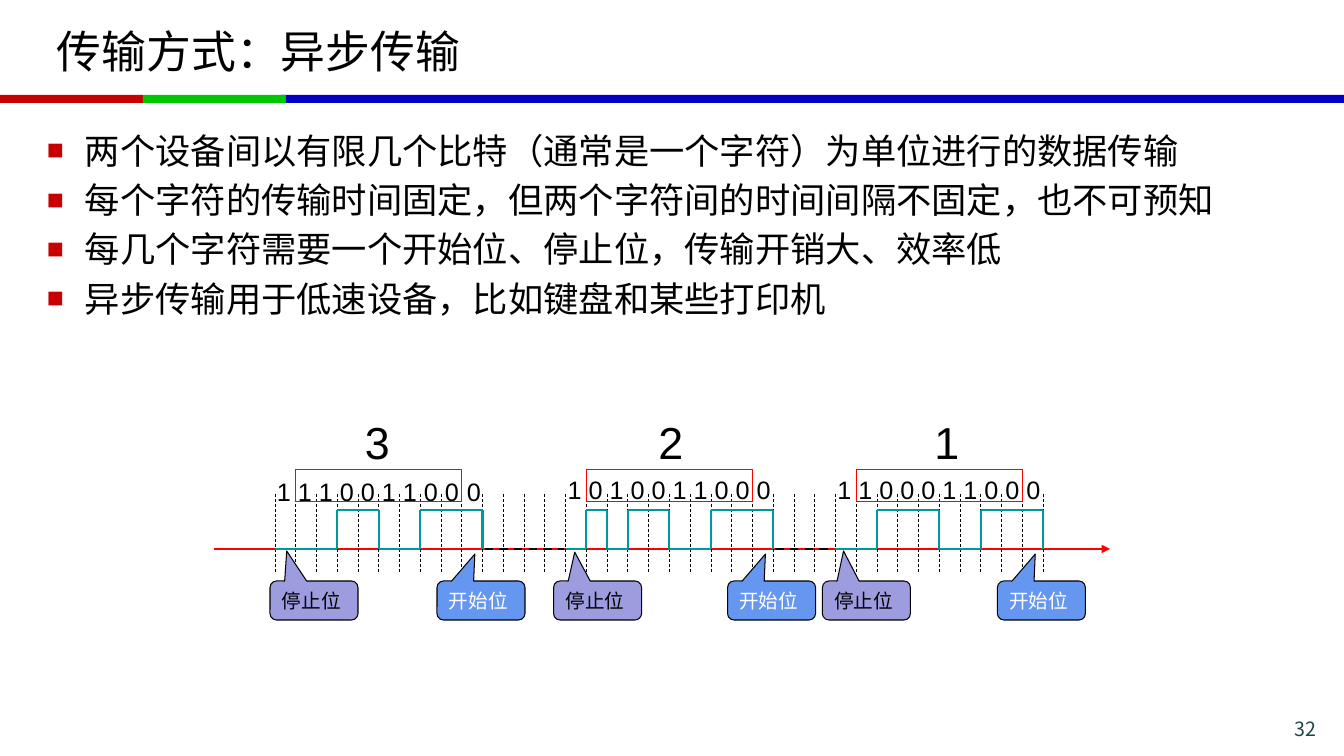
import itertools

import lxml.etree
import pptx
import pptx.dml.color
import pptx.enum.dml
import pptx.enum.shapes
import pptx.enum.text
import pptx.oxml.ns
import pptx.util

EMU_PER_PX = 914400 / 100.8
WIDTH, HEIGHT = 1344, 756
CJK = "Noto Sans CJK SC"
COLORS = {
    "black": "000000", "white": "FFFFFF", "blue": "0000C8", "red": "C80000",
    "green": "00C800", "page": "1E4649", "axis": "FF0000", "wave": "009999",
    "start": "6697F0", "stop": "9C9CDF",
}
SHAPE = pptx.enum.shapes.MSO_SHAPE
DASH = pptx.enum.dml.MSO_LINE.DASH
ALIGN = pptx.enum.text.PP_ALIGN
ANCHOR = pptx.enum.text.MSO_ANCHOR

BULLETS = [
    "两个设备间以有限几个比特（通常是一个字符）为单位进行的数据传输",
    "每个字符的传输时间固定，但两个字符间的时间间隔不固定，也不可预知",
    "每几个字符需要一个开始位、停止位，传输开销大、效率低",
    "异步传输用于低速设备，比如键盘和某些打印机",
]
SLOTS = 37
# slot: first grid line; label_dx, stop_dx: px from that line; last_gap: pt
CHARACTERS = [
    dict(label="3", slot=0, bits="1110011000", label_dx=80, stop_dx=-5,
         stop_tip=(-0.31, -1.27), last_gap=20),
    dict(label="2", slot=14, bits="1010011000", label_dx=83, stop_dx=-12,
         stop_tip=(-0.26, -1.24), last_gap=18),
    dict(label="1", slot=27, bits="1100011000", label_dx=89, stop_dx=-13,
         stop_tip=(-0.26, -1.27), last_gap=18),
]


def px(*lengths):
    return [pptx.util.Emu(round(n * EMU_PER_PX)) for n in lengths]


def rgb(name):
    return pptx.dml.color.RGBColor.from_string(COLORS[name])


def add_xml(parent, tag, **attrs):
    return lxml.etree.SubElement(parent, pptx.oxml.ns.qn(tag), attrs)


def add_run(p, text, size, color="black", font="Arial"):
    r = p.add_run()
    r.text = text
    for name, value in dict(size=pptx.util.Pt(size), name=font).items():
        setattr(r.font, name, value)
    r.font.color.rgb = rgb(color)
    add_xml(r.font._element, "a:ea", typeface=CJK)


def add_text(s, box, runs, align=ALIGN.LEFT, anchor=ANCHOR.TOP, wrap=False):
    """Place one paragraph; each run is the arguments of add_run."""
    tf = s.shapes.add_textbox(*px(*box)).text_frame
    tf.word_wrap, tf.vertical_anchor = wrap, anchor
    p = tf.paragraphs[0]
    p.alignment = align
    for run in runs:
        add_run(p, *run)


def add_box(s, kind, box, fill=None, line=None):
    sp = s.shapes.add_shape(kind, *px(*box))
    sp.shadow.inherit = False
    if fill:
        sp.fill.solid()
        sp.fill.fore_color.rgb = rgb(fill)
    else:
        sp.fill.background()
    if line:
        sp.line.color.rgb = rgb(line)
        sp.line.width = pptx.util.Pt(0.75)
    else:
        sp.line.fill.background()
    return sp


def add_line(shapes, start, end, color, width, dash=None, arrow=False):
    straight = pptx.enum.shapes.MSO_CONNECTOR.STRAIGHT
    c = shapes.add_connector(straight, *px(*start, *end))
    c.line.color.rgb = rgb(color)
    c.line.width = pptx.util.Pt(width)
    if dash:
        c.line.dash_style = dash
    if arrow:
        add_xml(c.line._get_or_add_ln(), "a:tailEnd", type="triangle")
    add_xml(c._element.spPr, "a:effectLst")


def add_header(s, x, y, w, h):
    """Title above a three-coloured rule at the foot of the box."""
    rule_y, rule_h = y + h - 8, 8
    for left, right, color in ((281, w, "blue"), (0, 143, "red"), (143, 286, "green")):
        add_box(s, SHAPE.RECTANGLE, (x + left, rule_y, right - left, rule_h), color)
    add_text(s, (x + 47, y + 8, 1249, 85), [("传输方式：异步传输", 32, "black", CJK)],
             anchor=ANCHOR.MIDDLE, wrap=True)


def add_bullets(s, x, y, w, h):
    tf = s.shapes.add_textbox(*px(x, y, w, h)).text_frame
    tf.word_wrap = True
    indent = px(38)[0]
    for i, text in enumerate(BULLETS):
        p = tf.add_paragraph() if i else tf.paragraphs[0]
        pPr = p._p.get_or_add_pPr()
        pPr.set("marL", str(indent))
        pPr.set("indent", str(-indent))
        color = add_xml(pPr, "a:buClr")
        add_xml(color, "a:srgbClr", val=COLORS["red"])
        add_xml(pPr, "a:buSzPct", val="80000")
        add_xml(pPr, "a:buFont", typeface="Arial")
        add_xml(pPr, "a:buChar", char="■")
        p.space_before = pptx.util.Pt(5 if i else 0)
        add_run(p, text, 25.2, font=CJK)


def add_callout(s, box, text, fill, color, tip):
    sp = add_box(s, SHAPE.ROUNDED_RECTANGULAR_CALLOUT, box, fill, "black")
    for i, value in enumerate(tip):
        sp.adjustments[i] = value
    tf = sp.text_frame
    tf.vertical_anchor = ANCHOR.MIDDLE
    tf.paragraphs[0].alignment = ALIGN.LEFT
    add_run(tf.paragraphs[0], text, 14, color)


def add_wave(s, x, pitch, low, high, bits):
    """Square wave in which a 0 bit is the high level."""
    for bit, group in itertools.groupby(bits):
        end = x + pitch * len(list(group))
        level = high if bit == "0" else low
        add_line(s.shapes, (x, level), (end, level), "wave", 1.5)
        add_line(s.shapes, (end, low), (end, high), "wave", 1.5)
        x = end


def add_character(s, x, y, pitch, char):
    bits = char["bits"]
    add_wave(s, x, pitch, y + 140, y + 101, bits)
    add_text(s, (x - 8, y + 60, 236, 44),
             [(" ".join(bits[:-1]), 18), (" ", char["last_gap"]), (bits[-1], 18)])
    add_callout(s, (x + 162, y + 172, 88, 39), "开始位", "start", "white", (-0.07, -1.19))
    add_callout(s, (x + char["stop_dx"], y + 172, 88, 39), "停止位", "stop", "black",
                char["stop_tip"])
    add_text(s, (x + char["label_dx"], y + 1, 48, 70), [(char["label"], 32)])
    add_box(s, SHAPE.RECTANGLE, (x + pitch, y + 61, 8 * pitch, 32), line="axis")


def add_timing_diagram(s, x, y, w, h):
    """Time axis, bit grid and three characters with idle gaps between them."""
    axis_y, grid_x = y + 140, x + 61
    pitch = (w - 128) / SLOTS
    add_line(s.shapes, (x, axis_y), (x + w, axis_y), "axis", 1, arrow=True)
    grid = s.shapes.add_group_shape().shapes
    for i in range(SLOTS + 1):
        line_x = grid_x + i * pitch
        add_line(grid, (line_x, y + 85), (line_x, y + h - 48), "black", 0.5, DASH)
    for char in CHARACTERS:
        add_character(s, grid_x + char["slot"] * pitch, y, pitch, char)
    for before, after in zip(CHARACTERS, CHARACTERS[1:]):
        idle = before["slot"] + len(before["bits"])
        add_line(s.shapes, (grid_x + idle * pitch + 2, axis_y),
                 (grid_x + after["slot"] * pitch - 2, axis_y), "black", 1.5, DASH)


def main():
    prs = pptx.Presentation()
    prs.slide_width, prs.slide_height = px(WIDTH, HEIGHT)
    s = prs.slides.add_slide(prs.slide_layouts[6])
    add_header(s, 0, 0, WIDTH, 103)
    add_bullets(s, 37, 124, 1198, 274)
    add_timing_diagram(s, 214, 409, 896, 211)
    add_text(s, (1195, 715, 131, 28), [("32", 14, "page", CJK)],
             align=ALIGN.RIGHT, anchor=ANCHOR.MIDDLE, wrap=True)
    prs.save("out.pptx")


if __name__ == "__main__":
    main()
